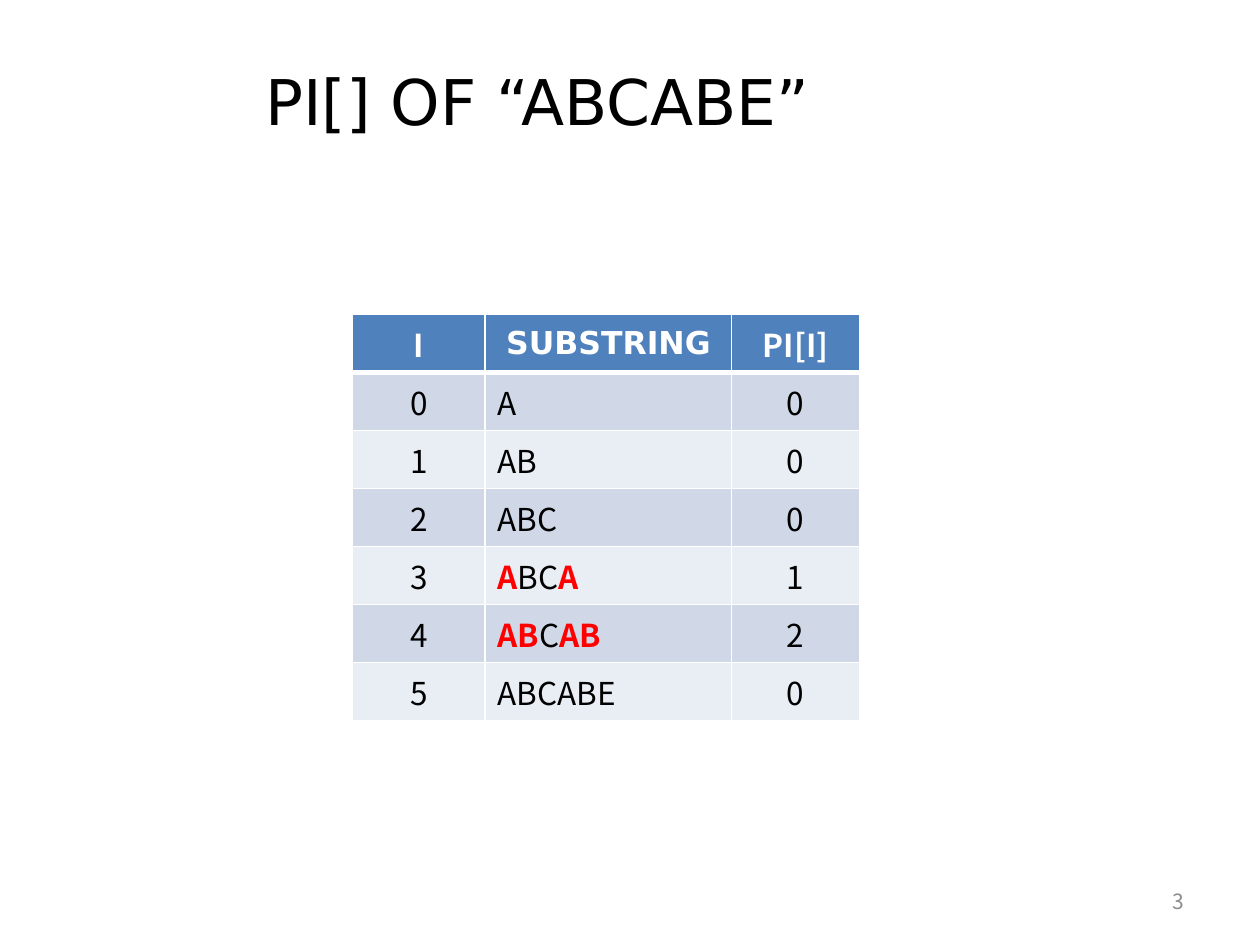
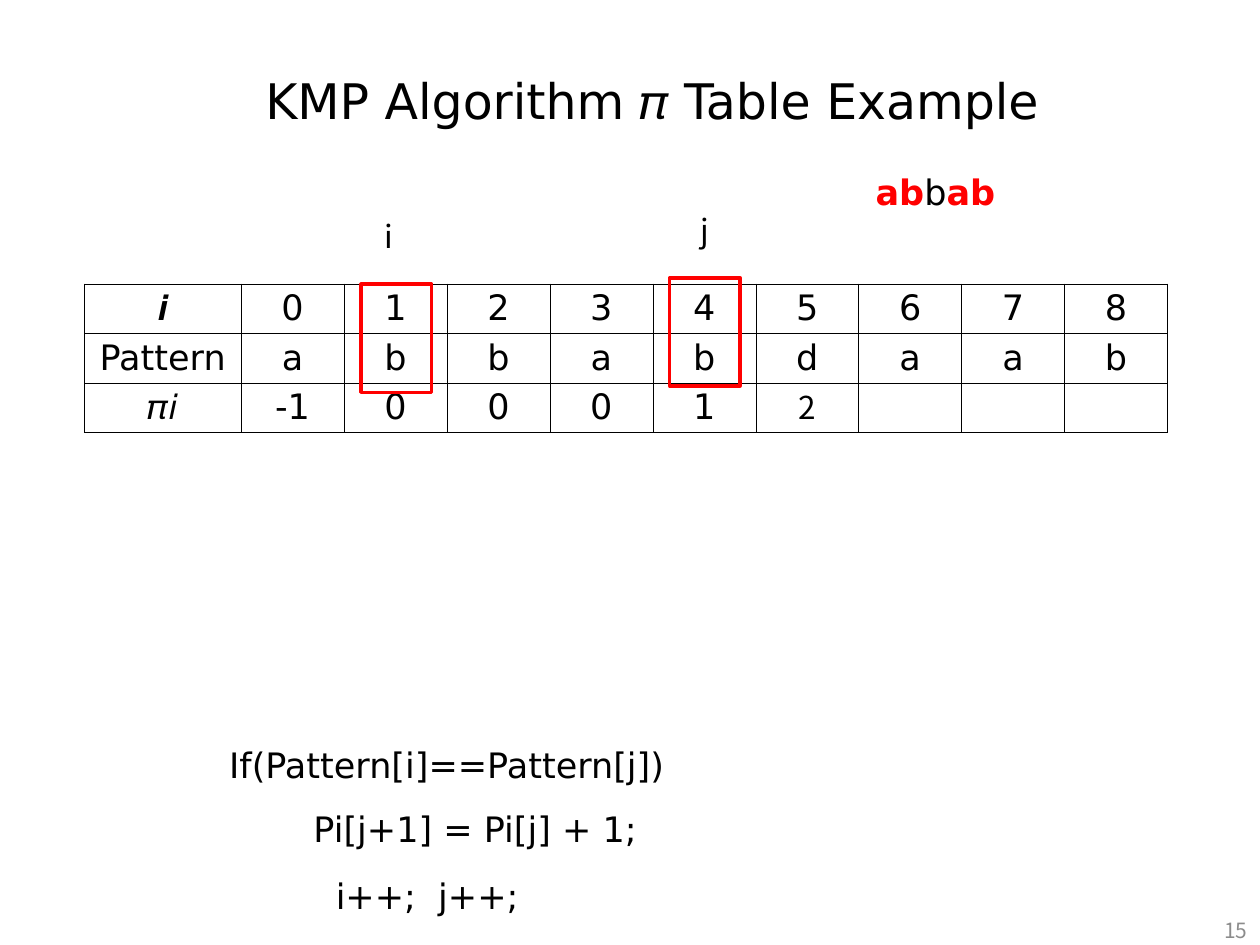
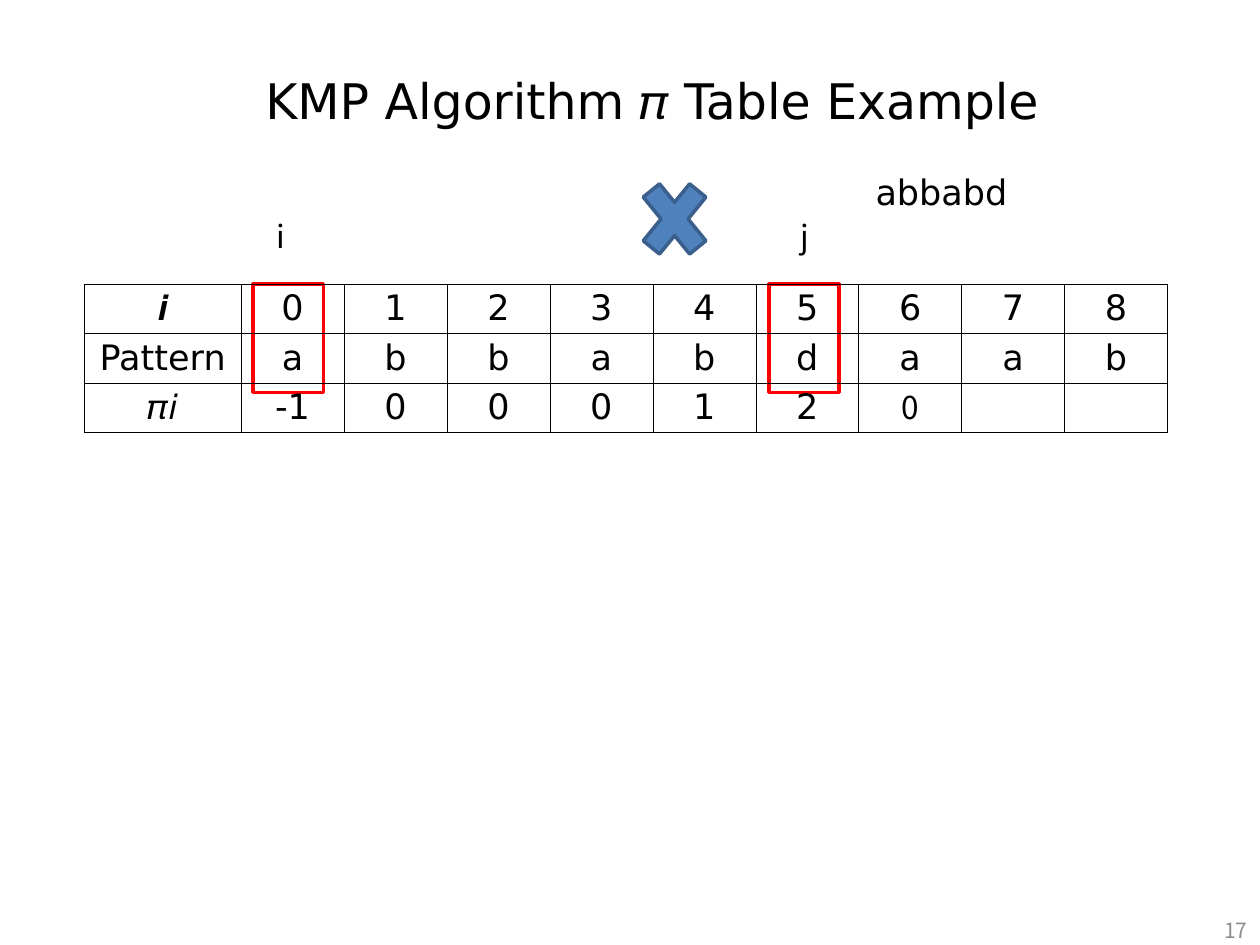
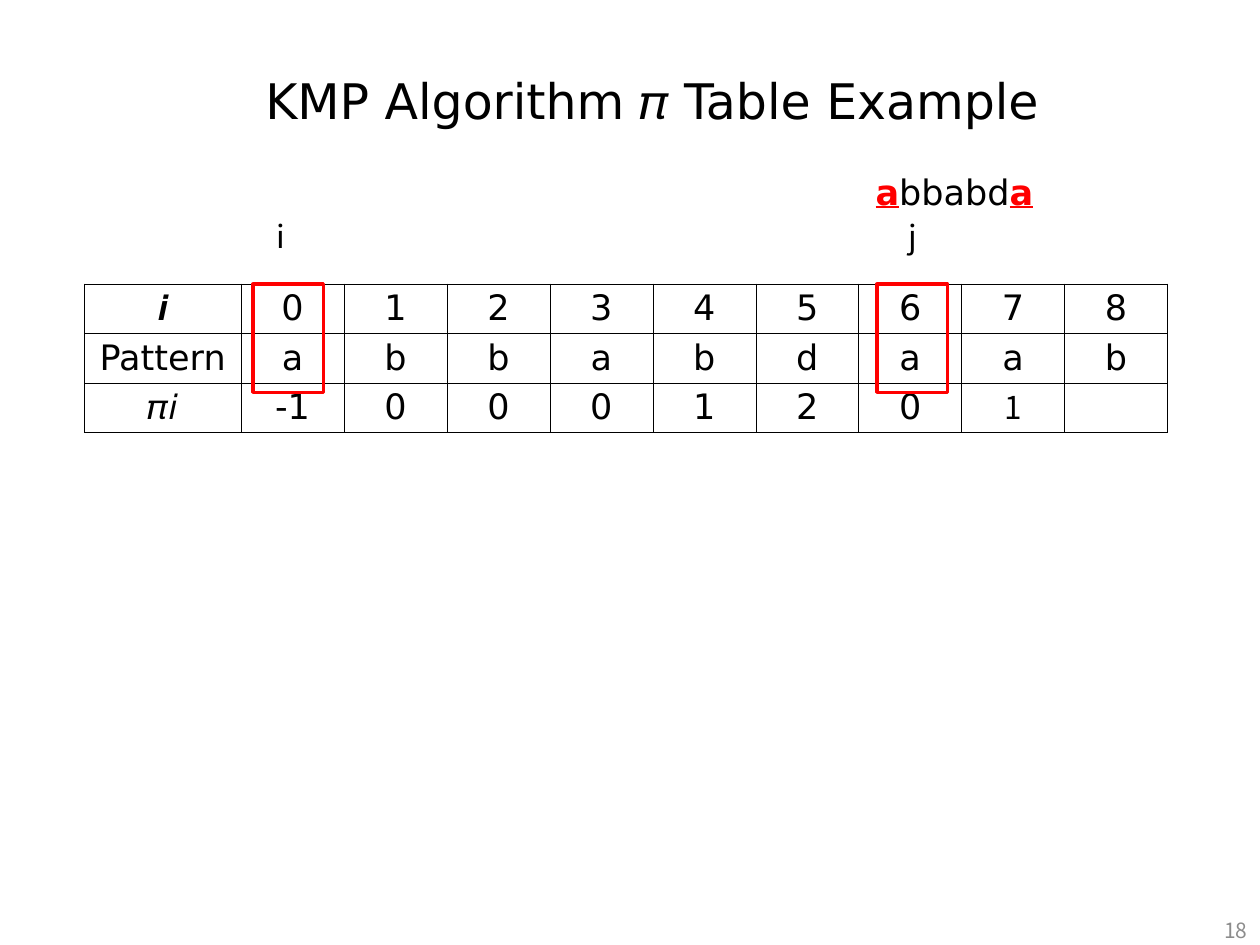
from lxml import etree
from pptx import Presentation, util as u
from pptx.dml.color import RGBColor
from pptx.enum import shapes, text
from pptx.oxml.ns import qn

COLORS = {
    "ink": "000000", "paper": "FFFFFF", "match": "FF0000", "number": "8C8C8C",
    "header": "4F81BD", "odd": "D0D8E8", "even": "E9EDF4", "cross_edge": "3A5F8C",
}
DEJAVU, NOTO = "DejaVu Sans", "Noto Sans CJK KR"
LEFT, CENTER, RIGHT = text.PP_ALIGN.LEFT, text.PP_ALIGN.CENTER, text.PP_ALIGN.RIGHT
MIDDLE = text.MSO_ANCHOR.MIDDLE

MATCH = {"color": "match", "bold": True}
MATCH_LINED = {**MATCH, "underline": True}

PREFIXES = [
    ("0", [("A", {})], "0"),
    ("1", [("AB", {})], "0"),
    ("2", [("ABC", {})], "0"),
    ("3", [("A", MATCH), ("BC", {}), ("A", MATCH)], "1"),
    ("4", [("AB", MATCH), ("C", {}), ("AB", MATCH)], "2"),
    ("5", [("ABCABE", {})], "0"),
]
PREFIX_HEADS = [("I", NOTO), ("SUBSTRING", DEJAVU), ("PI[I]", NOTO)]
PREFIX_WIDTHS = [2.67, 4.97, 2.58]
PREFIX_ROW = 1.17

PATTERN = "abbabdaab"
PI_VALUES = ["-1", "0", "0", "0", "1", "2", "0", "1"]
STEP_TITLE = "KMP Algorithm 𝜋 Table Example"
STEPS = [
    {"number": "15", "known": 6, "i": (7.28, 5.73), "j": (13.5, 5.6),
     "prefix": [("ab", MATCH), ("b", {}), ("ab", MATCH)],
     "code": [("If(Pattern[i]==Pattern[j])", 4.37, 14.87, 10.34),
              ("Pi[j+1] = Pi[j] + 1;", 6.07, 16.15, 14.5),
              ("i++;  j++;", 6.52, 17.5, 5.59)]},
    {"number": "17", "known": 7, "i": (5.1, 5.73), "j": (15.5, 5.73),
     "prefix": [("abbabd", {})], "mismatch": (12.7, 3.31, 1.8, 2.21),
     "table_on_top": True},
    {"number": "18", "known": 8, "i": (5.1, 5.73), "j": (17.68, 5.73),
     "prefix": [("a", MATCH_LINED), ("bbabd", {}), ("a", MATCH_LINED)]},
]

GRID_LEFT, GRID_TOP, GRID_WIDTH = 1.7, 5.72, 21.84
LABEL_WIDTH = 3.16
STEP_WIDTH = 2.075
ROW_HEIGHTS = [0.99, 1.01, 1]
POINTER_INSET = {"i": 0.23, "j": 0.38}


def rgb(name):
    return RGBColor.from_string(COLORS[name])


def cm(*lengths):
    return [u.Cm(round(length, 3)) for length in lengths]


def write(frame, runs, size, font=DEJAVU, align=LEFT, color="ink", bold=False):
    paragraph = frame.paragraphs[0]
    paragraph.alignment = align
    for words, style in runs:
        run = paragraph.add_run()
        run.text = words
        run.font.size = u.Pt(size)
        run.font.name = font
        run.font.bold = style.get("bold", bold)
        run.font.underline = style.get("underline", False)
        run.font.color.rgb = rgb(style.get("color", color))
        for script in ("a:ea", "a:cs"):
            etree.SubElement(run.font._element, qn(script), typeface=font)


def add_words(slide, box, runs, size, anchor=text.MSO_ANCHOR.TOP, wrap=True, **look):
    frame = slide.shapes.add_textbox(*cm(*box)).text_frame
    frame.word_wrap = wrap
    frame.vertical_anchor = anchor
    if not wrap:
        frame.auto_size = text.MSO_AUTO_SIZE.SHAPE_TO_FIT_TEXT
    write(frame, runs, size, **look)


def add_title(slide, words, size):
    add_words(slide, (5.1, 0.74, 17.93, 2.57), [(words, {})], size, anchor=MIDDLE)


def add_number(slide, words, left, top):
    add_words(slide, (left, top, 5.92, 1.02), [(words, {})], 12, anchor=MIDDLE,
              font=NOTO, align=RIGHT, color="number")


def add_grid(slide, left, top, widths, heights):
    grid = slide.shapes.add_table(
        len(heights), len(widths),
        *cm(left, top, sum(widths), sum(heights))).table
    for column, width in zip(grid.columns, cm(*widths)):
        column.width = width
    for row, height in zip(grid.rows, cm(*heights)):
        row.height = height
    return grid


def edge_cell(cell, color, width, **special):
    properties = cell._tc.get_or_add_tcPr()
    for side in "LRTB":
        line = etree.SubElement(properties, qn("a:ln" + side),
                                w=str(u.Pt(special.get(side, width))))
        solid = etree.SubElement(line, qn("a:solidFill"))
        etree.SubElement(solid, qn("a:srgbClr"), val=COLORS[color])
    cell.vertical_anchor = MIDDLE


def add_prefix_table(slide):
    grid = add_grid(slide, 7.11, 6.34, PREFIX_WIDTHS,
                    [PREFIX_ROW] * (len(PREFIXES) + 1))
    for column, (words, font) in enumerate(PREFIX_HEADS):
        cell = grid.cell(0, column)
        edge_cell(cell, "paper", 1, B=3)
        cell.fill.solid()
        cell.fill.fore_color.rgb = rgb("header")
        write(cell.text_frame, [(words, {})], 18, font, CENTER, "paper", True)
    for row, (index, substring, value) in enumerate(PREFIXES, 1):
        entries = [[(index, {})], substring, [(value, {})]]
        for column, runs in enumerate(entries):
            cell = grid.cell(row, column)
            edge_cell(cell, "paper", 1, T=3 if row == 1 else 1)
            cell.fill.solid()
            cell.fill.fore_color.rgb = rgb("odd" if row % 2 else "even")
            write(cell.text_frame, runs, 18, NOTO, LEFT if column == 1 else CENTER)


def add_pi_table(slide, known):
    rows = [
        ["𝒊", *map(str, range(len(PATTERN)))],
        ["Pattern", *PATTERN],
        ["𝜋𝑖", *PI_VALUES[:known]],
    ]
    grid = add_grid(slide, GRID_LEFT, GRID_TOP,
                    [LABEL_WIDTH] + [STEP_WIDTH] * len(PATTERN), ROW_HEIGHTS)
    for row, entries in enumerate(rows):
        for column in range(len(PATTERN) + 1):
            cell = grid.cell(row, column)
            cell.margin_left = cell.margin_right = u.Cm(0.18)
            cell.margin_top = cell.margin_bottom = u.Cm(0.05)
            edge_cell(cell, "ink", 0.28)
            cell.fill.background()
            if column < len(entries):
                write(cell.text_frame, [(entries[column], {})], 20, align=CENTER)


def add_outlined(slide, preset, box, line, fill=None):
    outlined = slide.shapes.add_shape(preset, *cm(*box))
    outlined.shadow.inherit = False
    outlined.line.color.rgb = rgb(line)
    outlined.line.width = u.Pt(2)
    if fill:
        outlined.fill.solid()
        outlined.fill.fore_color.rgb = rgb(fill)
    else:
        outlined.fill.background()


def add_pointer(slide, letter, left, top):
    add_outlined(slide, shapes.MSO_SHAPE.RECTANGLE, (left, top, 1.42, 2.18), "match")
    add_words(slide, (left + POINTER_INSET[letter], top - 1.47, 0.66, 1.02),
              [(letter, {})], 18, wrap=False, font=NOTO, align=CENTER)


def add_step(slide, step):
    newest = step["known"] - 1
    table_on_top = step.get("table_on_top", False)
    if not table_on_top:
        add_pi_table(slide, newest)
    add_title(slide, STEP_TITLE, 28)
    add_number(slide, step["number"], 19.48, 18.24)
    for letter in "ij":
        add_pointer(slide, letter, *step[letter])
    if table_on_top:
        add_pi_table(slide, newest)
    if "mismatch" in step:
        add_outlined(slide, shapes.MSO_SHAPE.MATH_MULTIPLY, step["mismatch"],
                     "cross_edge", "header")
    middle = GRID_LEFT + LABEL_WIDTH + (newest + 0.5) * STEP_WIDTH
    add_words(slide, (middle - 0.46, 7.7, 0.94, 1.02), [(PI_VALUES[newest], {})], 18,
              font=NOTO, align=CENTER)
    add_words(slide, (17.4, 3.32, 5.59, 1.12), step["prefix"], 20)
    for words, left, top, width in step.get("code", []):
        add_words(slide, (left, top, width, 1.12), [(words, {})], 20)


deck = Presentation()
deck.slide_width, deck.slide_height = cm(25.4, 19.05)
blank = deck.slide_layouts[6]

overview = deck.slides.add_slide(blank)
add_title(overview, "PI[] OF “ABCABE”", 36)
add_prefix_table(overview)
add_number(overview, "3", 18.21, 17.65)

for step in STEPS:
    add_step(deck.slides.add_slide(blank), step)

deck.save("out.pptx")
